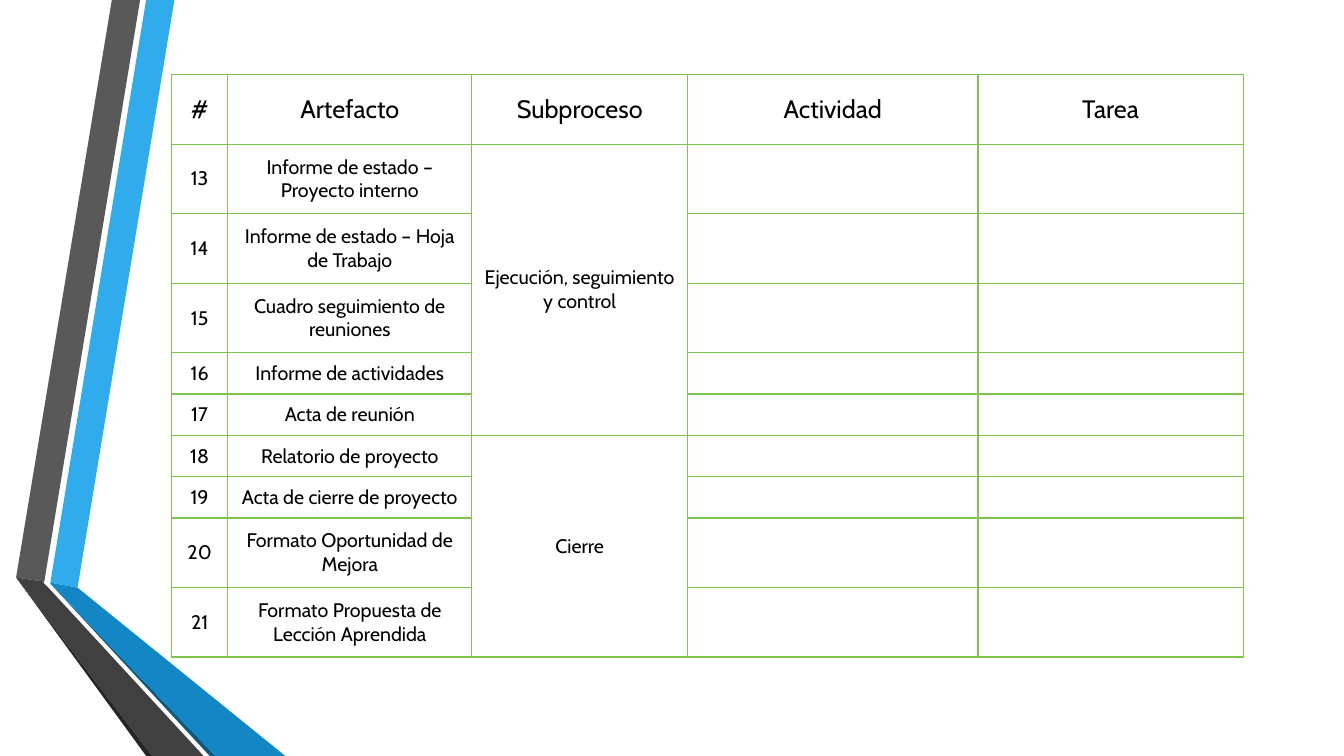
from dataclasses import dataclass
from lxml.etree import SubElement
from pptx import Presentation
from pptx.dml.color import RGBColor
from pptx.enum.text import MSO_ANCHOR, PP_ALIGN
from pptx.oxml.ns import qn
from pptx.util import Inches, Pt


@dataclass(frozen=True)
class Theme:
    font: str = "Cabin"
    header_size: int = 18
    body_size: int = 14
    text: str = "000000"
    border: str = "80C34F"
    border_width: int = 1
    blue: str = "30ACEC"
    blue_fold: str = "1287C3"
    blue_edge: str = "0C5A82"
    gray: str = "595959"
    gray_fold: str = "404040"
    gray_edge: str = "262626"


THEME = Theme()

HEADERS = ["#", "Artefacto", "Subproceso", "Actividad", "Tarea"]
COLUMN_WIDTHS = [0.56, 2.42, 2.14, 2.88, 2.63]
TABLE_LEFT, TABLE_TOP = 1.7, 0.74
TALL_ROW, SHORT_ROW = 0.69, 0.41
ONE_LINE_LIMIT = 26
FIRST_NUMBER = 13
SUBPROCESSES = [
    ("Ejecución, seguimiento y control", [
        "Informe de estado – Proyecto interno",
        "Informe de estado – Hoja de Trabajo",
        "Cuadro seguimiento de reuniones",
        "Informe de actividades",
        "Acta de reunión",
    ]),
    ("Cierre", [
        "Relatorio de proyecto",
        "Acta de cierre de proyecto",
        "Formato Oportunidad de Mejora",
        "Formato Propuesta de Lección Aprendida",
    ]),
]

RIBBONS = [
    (THEME.blue, [(0.5, 5.78), (0.77, 5.83), (1.73, 0), (1.45, 0)]),
    (THEME.gray, [(1.39, 0), (1.11, 0), (0.16, 5.73), (0.44, 5.77)]),
    (THEME.gray_edge, [(0.16, 5.73), (1.45, 7.5), (1.51, 7.5)]),
    (THEME.blue_edge, [(0.5, 5.79), (2.08, 7.5), (2.14, 7.5)]),
    (THEME.blue_fold, [(0.5, 5.79), (2.14, 7.5), (2.83, 7.5), (0.77, 5.83), (0.5, 5.78)]),
    (THEME.gray_fold, [(2.02, 7.5), (0.48, 5.83), (0.43, 5.78), (0.44, 5.77),
                       (0.16, 5.73), (1.51, 7.5)]),
]


def add_ribbon(slide, color, points):
    corners = [(Inches(x), Inches(y)) for x, y in points]
    builder = slide.shapes.build_freeform(*corners[0])
    builder.add_line_segments(corners[1:], close=True)
    ribbon = builder.convert_to_shape()
    ribbon.shadow.inherit = False
    ribbon.fill.solid()
    ribbon.fill.fore_color.rgb = RGBColor.from_string(color)
    ribbon.line.fill.background()


def add_borders(cell):
    properties = cell._tc.get_or_add_tcPr()
    for position, side in enumerate(("lnL", "lnR", "lnT", "lnB")):
        line = properties.makeelement(qn(f"a:{side}"), {"w": str(Pt(THEME.border_width))})
        properties.insert(position, line)
        fill = SubElement(line, qn("a:solidFill"))
        SubElement(fill, qn("a:srgbClr"), val=THEME.border)


def format_cell(cell, text, size):
    cell.text = text
    cell.vertical_anchor = MSO_ANCHOR.MIDDLE
    cell.fill.background()
    add_borders(cell)
    paragraph = cell.text_frame.paragraphs[0]
    paragraph.alignment = PP_ALIGN.CENTER
    font = paragraph.font
    font.name = THEME.font
    font.size = Pt(size)
    font.color.rgb = RGBColor.from_string(THEME.text)


def table_rows():
    """Return the header and body rows, with each subprocess named in its first row."""
    rows = [HEADERS]
    for subprocess, artifacts in SUBPROCESSES:
        for index, artifact in enumerate(artifacts):
            number = str(FIRST_NUMBER + len(rows) - 1)
            rows.append([number, artifact, "" if index else subprocess, "", ""])
    return rows


def add_artifact_table(slide):
    rows = table_rows()
    heights = [TALL_ROW] + [
        TALL_ROW if len(row[1]) > ONE_LINE_LIMIT else SHORT_ROW for row in rows[1:]
    ]
    table = slide.shapes.add_table(
        len(rows), len(HEADERS), Inches(TABLE_LEFT), Inches(TABLE_TOP),
        Inches(sum(COLUMN_WIDTHS)), Inches(sum(heights)),
    ).table
    table.first_row = table.horz_banding = False
    for column, width in zip(table.columns, COLUMN_WIDTHS):
        column.width = Inches(width)
    for row_index, (texts, height) in enumerate(zip(rows, heights)):
        table.rows[row_index].height = Inches(height)
        size = THEME.body_size if row_index else THEME.header_size
        for column_index, text in enumerate(texts):
            format_cell(table.cell(row_index, column_index), text, size)

    subprocess_column = HEADERS.index("Subproceso")
    first = 1
    for _, artifacts in SUBPROCESSES:
        last = first + len(artifacts) - 1
        table.cell(first, subprocess_column).merge(table.cell(last, subprocess_column))
        first = last + 1


def main():
    deck = Presentation()
    deck.slide_width, deck.slide_height = Inches(13.33), Inches(7.5)
    slide = deck.slides.add_slide(deck.slide_layouts.get_by_name("Blank"))
    for color, points in RIBBONS:
        add_ribbon(slide, color, points)
    add_artifact_table(slide)
    deck.save("out.pptx")


if __name__ == "__main__":
    main()
